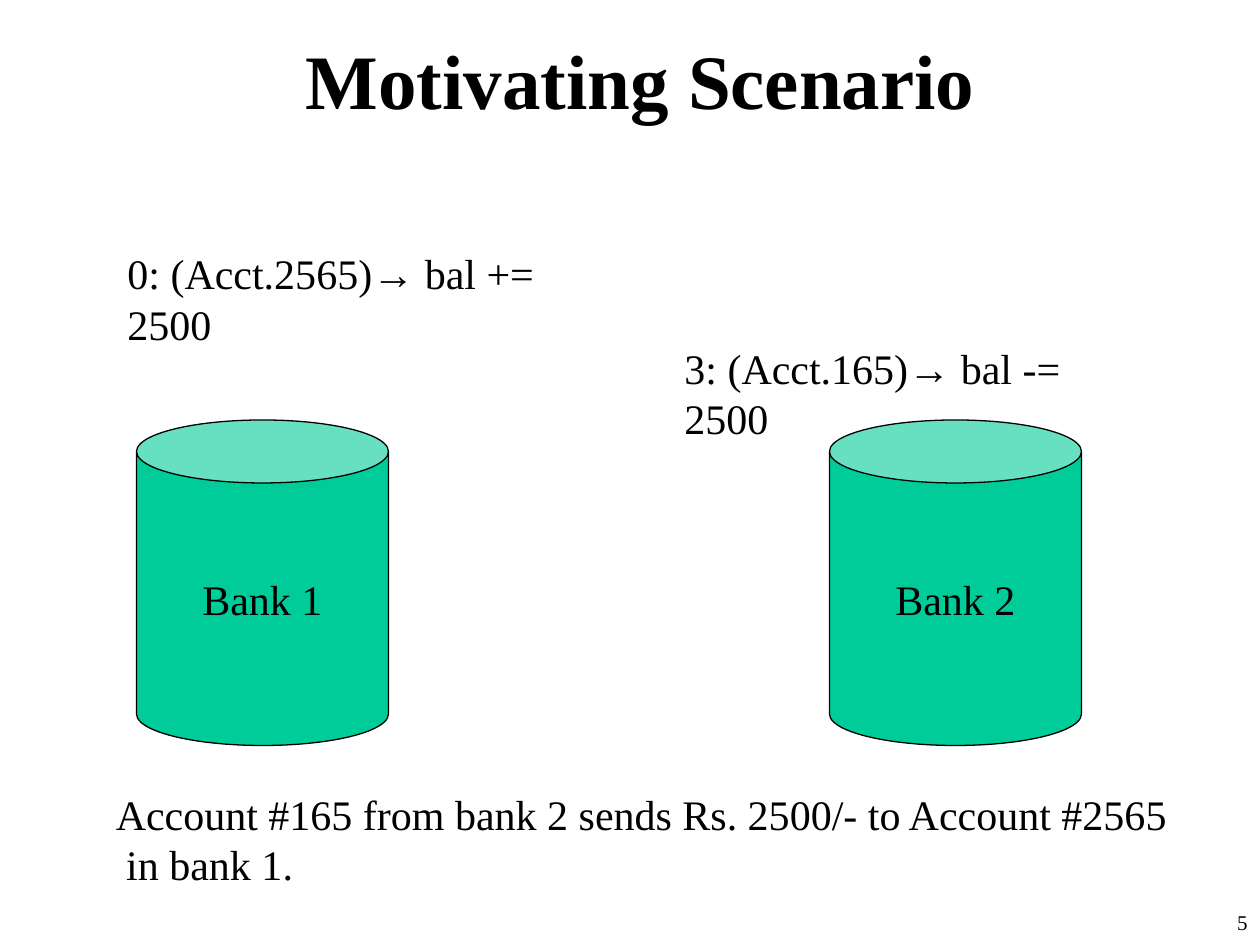
import pptx
import pptx.util
import pptx.dml.color
import pptx.enum.shapes
import pptx.enum.text

SERIF = "Times New Roman"
SANS = "Arial"
BLACK = "000000"
GREEN = "00CC99"
ALIGN = pptx.enum.text.PP_ALIGN
ANCHOR = pptx.enum.text.MSO_ANCHOR
FIT = pptx.enum.text.MSO_AUTO_SIZE


def color(code):
    return pptx.dml.color.RGBColor.from_string(code)


def grid(*cells):
    return [pptx.util.Inches(cell / 12) for cell in cells]


def write(frame, lines, size=24, align=ALIGN.LEFT, bold=False):
    for row, line in enumerate(lines):
        para = frame.add_paragraph() if row else frame.paragraphs[0]
        para.alignment = align
        for words, face in line:
            run = para.add_run()
            run.text = words
            font = run.font
            font.name = face
            font.size = pptx.util.Pt(size)
            font.bold = bold
            font.color.rgb = color(BLACK)


def add_title(slide, words):
    title = slide.shapes.title
    title.left, title.top, title.width, title.height = grid(5, 0, 112, 15)
    frame = title.text_frame
    frame.auto_size = FIT.NONE
    frame.vertical_anchor = ANCHOR.MIDDLE
    write(frame, [[(words, SERIF)]], 44, ALIGN.CENTER, True)


def add_text(slide, cells, lines):
    frame = slide.shapes.add_textbox(*grid(*cells)).text_frame
    frame.word_wrap = False
    frame.auto_size = FIT.SHAPE_TO_FIT_TEXT
    write(frame, lines)


def add_step(slide, cells, source, change):
    add_text(slide, cells, [[(source, SERIF), ("→", SANS), (change, SERIF)]])


def add_bank(slide, col, name):
    kind = pptx.enum.shapes.MSO_SHAPE.CAN
    bank = slide.shapes.add_shape(kind, *grid(col, 40, 24, 31))
    bank.adjustments[0] = 0.25
    bank.shadow.inherit = False
    bank.fill.solid()
    bank.fill.fore_color.rgb = color(GREEN)
    bank.line.color.rgb = color(BLACK)
    bank.line.width = pptx.util.Pt(0.75)
    frame = bank.text_frame
    frame.word_wrap = False
    frame.vertical_anchor = ANCHOR.MIDDLE
    write(frame, [[(name, SERIF)]], align=ALIGN.CENTER)


def add_number(slide, number):
    frame = slide.shapes.add_textbox(*grid(95, 86, 25, 6)).text_frame
    frame.word_wrap = True
    write(frame, [[(number, SERIF)]], 12, ALIGN.RIGHT)


def main():
    deck = pptx.Presentation()
    deck.slide_width, deck.slide_height = grid(120, 90)
    slide = deck.slides.add_slide(deck.slide_layouts[5])
    add_number(slide, "5")
    add_title(slide, "Motivating Scenario")
    for col, name in ((13, "Bank 1"), (79, "Bank 2")):
        add_bank(slide, col, name)
    add_step(slide, (10.95, 23, 50, 6), "0: (Acct.2565)", " bal += 2500")
    add_step(slide, (64, 32, 47.15, 6), "3: (Acct.165)", " bal -= 2500")
    story = (
        "Account #165 from bank 2 sends Rs. 2500/- to Account #2565",
        " in bank 1.",
    )
    add_text(slide, (9.85, 74.5, 103.7, 10.8), [[(line, SERIF)] for line in story])
    deck.save("out.pptx")


if __name__ == "__main__":
    main()
